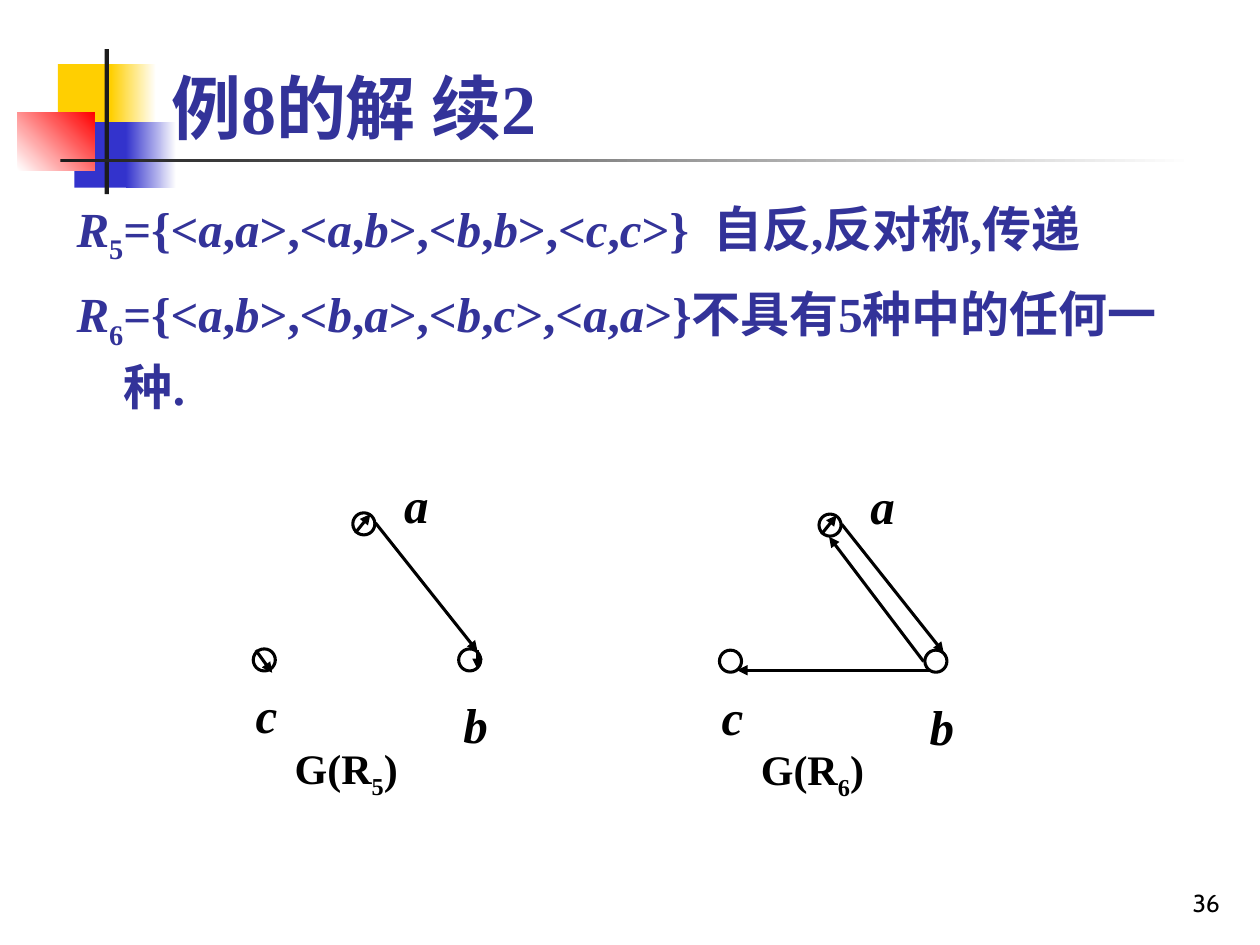
"""Build the slide on relations R5 and R6 with their directed graphs."""
from lxml import etree
from pptx import Presentation
from pptx.dml.color import RGBColor
from pptx.enum.shapes import MSO_CONNECTOR, MSO_SHAPE
from pptx.enum.text import MSO_ANCHOR, PP_ALIGN
from pptx.oxml.ns import qn
from pptx.util import Emu, Inches, Pt

RECTANGLE, OVAL = MSO_SHAPE.RECTANGLE, MSO_SHAPE.OVAL
STRAIGHT = MSO_CONNECTOR.STRAIGHT
TOP, BOTTOM = MSO_ANCHOR.TOP, MSO_ANCHOR.BOTTOM
LEFT, RIGHT = PP_ALIGN.LEFT, PP_ALIGN.RIGHT

BLACK = RGBColor(0x00, 0x00, 0x00)
CHARCOAL = RGBColor(0x1C, 0x1C, 0x1C)
WHITE = RGBColor(0xFF, 0xFF, 0xFF)
YELLOW = RGBColor(0xFF, 0xCF, 0x01)
BLUE = RGBColor(0x33, 0x33, 0xCC)
RED = RGBColor(0xFF, 0x00, 0x00)
INDIGO = RGBColor(0x33, 0x33, 0x99)

SERIF = "Times New Roman"
CELL = Inches(0.1)
COLUMNS, ROWS = 100, 75
HANGING = 3.75
LINE_WIDTH = Pt(1.75)


def cells(*counts):
    return [Emu(round(count * CELL)) for count in counts]


def add_text(box, lines, size, color, font=SERIF, bold=True, anchor=TOP, align=LEFT):
    frame = slide.shapes.add_textbox(*cells(*box)).text_frame
    frame.word_wrap = True
    frame.vertical_anchor = anchor
    for index, runs in enumerate(lines):
        paragraph = frame.add_paragraph() if index else frame.paragraphs[0]
        paragraph.alignment = align
        for text, style in runs:
            run = paragraph.add_run()
            run.text = text
            run.font.name = font
            run.font.size = Pt(size)
            run.font.bold = bold
            run.font.italic = style == "italic"
            run.font.color.rgb = color
            if style == "subscript":
                run.font._element.set("baseline", "-25000")
    return frame


presentation = Presentation()
presentation.slide_width, presentation.slide_height = cells(COLUMNS, ROWS)
slide = presentation.slides.add_slide(presentation.slide_layouts[6])

decorations = [
    ((4.6, 5.1, 4.8, 5.2), [YELLOW], 0),
    ((8.8, 5.1, 3.6, 5.2), [YELLOW, WHITE], 0),
    ((5.9, 9.7, 4.6, 5.2), [BLUE], 0),
    ((10, 9.7, 4, 5.2), [BLUE, WHITE], 0),
    ((1.4, 8.9, 6.1, 4.6), [WHITE, RED], 45),
    ((8.3, 3.9, 0.35, 11.5), [CHARCOAL], 0),
    ((4.8, 12.6, 90, 0.3), [CHARCOAL, WHITE], 0),
]
for box, colors, angle in decorations:
    shape = slide.shapes.add_shape(RECTANGLE, *cells(*box))
    shape.shadow.inherit = False
    shape.line.fill.background()
    if len(colors) == 1:
        shape.fill.solid()
        shape.fill.fore_color.rgb = colors[0]
    else:
        shape.fill.gradient()
        shape.fill.gradient_angle = angle
        for position, (stop, color) in enumerate(zip(shape.fill.gradient_stops, colors)):
            stop.position = position
            stop.color.rgb = color

add_text((77, 68.3, 20.8, 5), [[("36", "")]], 14, BLACK, "Cabin", False, BOTTOM, RIGHT)
add_text((12.6, 3.9, 85.2, 8.4), [[("例8的解 续2", "")]], 40, INDIGO, anchor=BOTTOM)

relations = [
    ("5", ["aa", "ab", "bb", "cc"], ">}  自反,反对称,传递"),
    ("6", ["ab", "ba", "bc", "aa"], ">}不具有5种中的任何一种."),
]
lines = []
for number, pairs, properties in relations:
    runs = [("R", "italic"), (number, "subscript")]
    opening = "={<"
    for first, second in pairs:
        runs += [(opening, ""), (first, "italic"), (",", ""), (second, "italic")]
        opening = ">,<"
    lines.append(runs + [(properties, "")])
body = add_text((5.1, 14.7, 91.3, 51.2), lines, 28, INDIGO)
indent = cells(HANGING)[0]
for index, paragraph in enumerate(body.paragraphs):
    paragraph.line_spacing = 1.1
    paragraph.space_before = Pt(7 * index)
    properties = paragraph._p.get_or_add_pPr()
    properties.set("marL", str(indent))
    properties.set("indent", str(-indent))

nodes = [(28, 40.7), (20.1, 51.5), (36.4, 51.5)]
labels = [("a", 31.1, 36.7), ("c", 19.3, 53.4), ("b", 35.8, 54.2)]
shared_edges = [(28.2, 42.3, 29.4, 40.8), (29.8, 41.5, 37.9, 51.7)]
graphs = [
    ("5", 0, 0, [(37.9, 51.6, 37.9, 53.1), (20.3, 51.6, 21.6, 53.4)]),
    ("6", 37, 0.1, [(36.3, 52.4, 28.8, 42.5), (36.7, 53.1, 21.5, 53.1)]),
]
for number, right, down, own_edges in graphs:
    caption = [("G(R", ""), (number, "subscript"), (")", "")]
    frame = add_text((22.4 + right, 58 + down, 20.5, 6), [caption], 24, BLACK)
    frame.paragraphs[0].line_spacing = 1.1
    for letter, left, top in labels:
        box = (left + right, top + down, 4.7, 6.2)
        frame = add_text(box, [[(letter, "italic")]], 28, BLACK)
        frame.paragraphs[0].line_spacing = 1.1
    for left, top in nodes:
        node = slide.shapes.add_shape(OVAL, *cells(left + right, top + down, 1.75, 1.75))
        node.shadow.inherit = False
        node.fill.background()
        node.line.color.rgb = BLACK
        node.line.width = LINE_WIDTH
    for start_x, start_y, end_x, end_y in shared_edges + own_edges:
        ends = cells(start_x + right, start_y + down, end_x + right, end_y + down)
        edge = slide.shapes.add_connector(STRAIGHT, *ends)
        edge.line.color.rgb = BLACK
        edge.line.width = LINE_WIDTH
        etree.SubElement(edge.line._get_or_add_ln(), qn("a:tailEnd"), type="triangle")
        etree.SubElement(edge._element.spPr, qn("a:effectLst"))

presentation.save("out.pptx")
